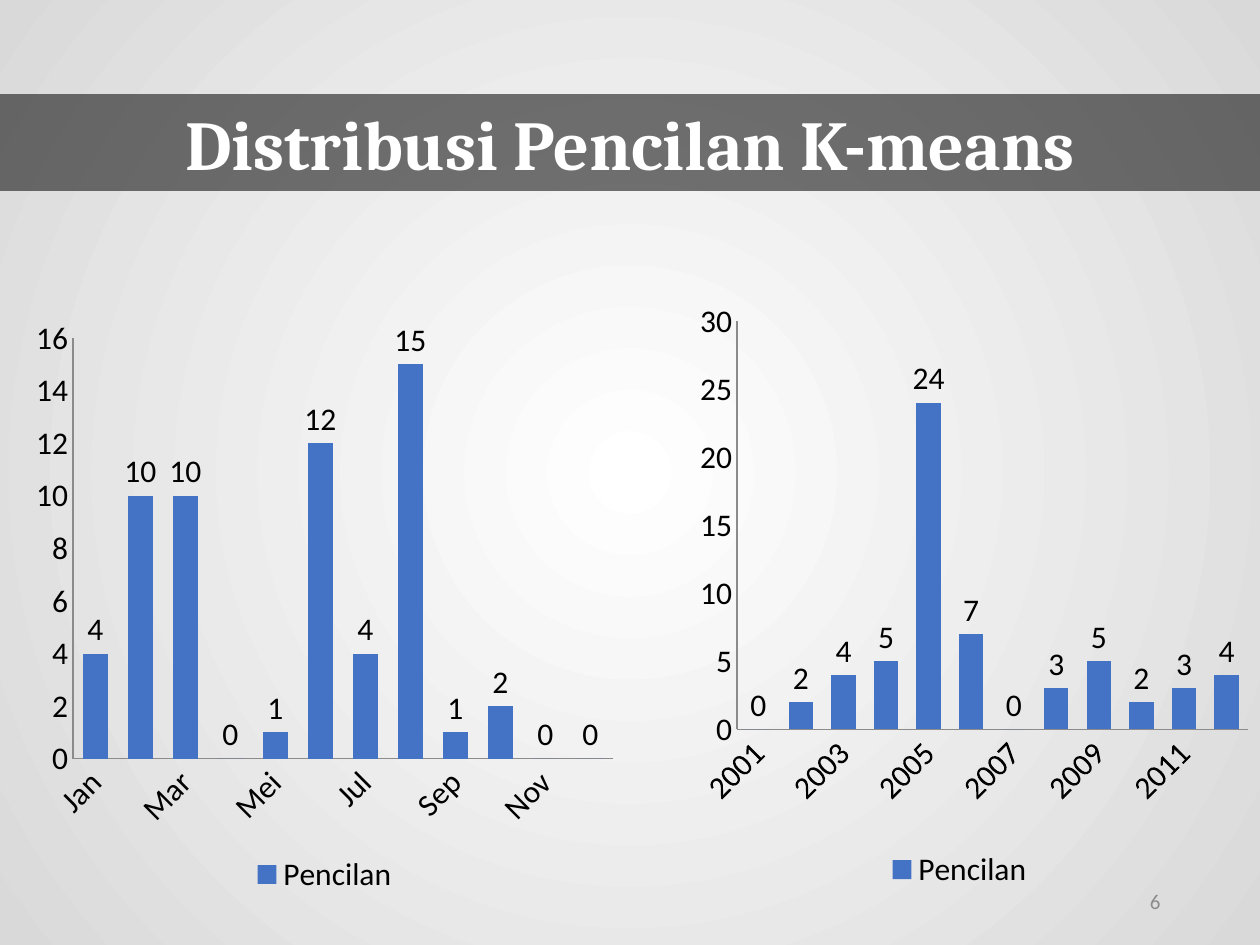
from lxml.etree import SubElement
from pptx import Presentation
from pptx.chart.data import CategoryChartData
from pptx.dml.color import RGBColor
from pptx.enum.chart import XL_CHART_TYPE, XL_LABEL_POSITION, XL_LEGEND_POSITION, XL_TICK_MARK
from pptx.enum.shapes import MSO_SHAPE
from pptx.enum.text import MSO_ANCHOR, MSO_AUTO_SIZE, PP_ALIGN
from pptx.oxml import parse_xml
from pptx.oxml.ns import nsdecls, qn
from pptx.util import Emu, Pt

THEME = {
    "heading_font": "Cambria", "body_font": "Calibri",
    "title_size": 40, "chart_size": 18, "number_size": 12,
    "white": "FFFFFF", "edge": "D9D9D9", "black": "000000",
    "bar": "4472C4", "axis": "8B8B8B", "number": "8C8C8C",
}

TITLE = "Distribusi Pencilan K-means"
TITLE_BAND = (0, 94, 1260, 97)
BAND_OPACITY = 54
PAGE_NUMBER = "6"
PAGE_NUMBER_BOX = (890, 876, 283, 50)

SERIES_NAME = "Pencilan"
CHARTS = [
    {
        "box": (24, 307, 601, 593),
        "categories": ["Jan", "Feb", "Mar", "Apr", "Mei", "Jun",
                       "Jul", "Ags", "Sep", "Okt", "Nov", "Des"],
        "values": [4, 10, 10, 0, 1, 12, 4, 15, 1, 2, 0, 0],
        "scale": {"minimum_scale": 0, "maximum_scale": 16, "major_unit": 2},
        "plot_area": None,
    },
    {
        "box": (659, 302, 601, 593),
        "categories": [str(year) for year in range(2001, 2013)],
        "values": [0, 2, 4, 5, 24, 7, 0, 3, 5, 2, 3, 4],
        "scale": {"minimum_scale": 0, "maximum_scale": 30, "major_unit": 5},
        "plot_area": {"x": 0.13, "y": 0.03, "w": 0.85, "h": 0.69},
    },
]


def px(length):
    return Emu(round(length * 914400 / 126))


def place(box):
    return [px(length) for length in box]


def color(name):
    return RGBColor.from_string(THEME[name])


def set_all(target, values):
    for name, value in values.items():
        setattr(target, name, value)


def style_font(font, face, size, ink, bold=False):
    set_all(font, {"name": THEME[face], "size": Pt(THEME[size]), "bold": bold})
    font.color.rgb = color(ink)


def paint_background(slide):
    """Radial gradient, white in the centre."""
    slide.background.fill.gradient()
    linear = slide.element.xpath(".//p:bgPr/a:gradFill")[0]
    stops = "".join(
        f'<a:gs pos="{position}"><a:srgbClr val="{THEME[name]}"/></a:gs>'
        for position, name in ((0, "white"), (100000, "edge")))
    radial = parse_xml(
        f'<a:gradFill {nsdecls("a")} rotWithShape="1"><a:gsLst>{stops}</a:gsLst>'
        '<a:path path="circle"><a:fillToRect l="50000" t="50000" r="50000" b="50000"/>'
        '</a:path></a:gradFill>')
    linear.getparent().replace(linear, radial)


def write(shape, text, align, **font_style):
    paragraph = shape.text_frame.paragraphs[0]
    paragraph.alignment = align
    run = paragraph.add_run()
    run.text = text
    style_font(run.font, **font_style)


def add_page_number(slide):
    number = slide.shapes.add_textbox(*place(PAGE_NUMBER_BOX))
    set_all(number.text_frame, {"word_wrap": True, "vertical_anchor": MSO_ANCHOR.MIDDLE})
    write(number, PAGE_NUMBER, PP_ALIGN.RIGHT,
          face="body_font", size="number_size", ink="number")


def add_title_band(slide):
    band = slide.shapes.add_shape(MSO_SHAPE.RECTANGLE, *place(TITLE_BAND))
    band.shadow.inherit = False
    band.fill.solid()
    band.fill.fore_color.rgb = color("black")
    fill_color = band.element.spPr.find(qn("a:solidFill"))[0]
    SubElement(fill_color, qn("a:alpha"), val=str(BAND_OPACITY * 1000))
    band.line.fill.background()
    set_all(band.text_frame, {"word_wrap": True, "auto_size": MSO_AUTO_SIZE.SHAPE_TO_FIT_TEXT,
                              "vertical_anchor": MSO_ANCHOR.TOP})
    write(band, TITLE, PP_ALIGN.CENTER,
          face="heading_font", size="title_size", ink="white", bold=True)


def fix_plot_area(chart, fractions):
    """Pin the inner plot area to fractions of the chart."""
    plot_area = chart.element.xpath(".//c:plotArea")[0]
    for automatic in plot_area.findall(qn("c:layout")):
        plot_area.remove(automatic)
    places = "".join(f'<c:{side} val="{value}"/>' for side, value in fractions.items())
    plot_area.insert(0, parse_xml(
        f'<c:layout {nsdecls("c")}><c:manualLayout><c:layoutTarget val="inner"/>'
        f'<c:xMode val="edge"/><c:yMode val="edge"/>{places}</c:manualLayout></c:layout>'))


def add_outlier_chart(slide, content):
    data = CategoryChartData()
    data.categories = content["categories"]
    data.add_series(SERIES_NAME, content["values"])
    chart = slide.shapes.add_chart(
        XL_CHART_TYPE.COLUMN_CLUSTERED, *place(content["box"]), data).chart
    set_all(chart, {"has_title": False, "has_legend": True})
    style_font(chart.font, "body_font", "chart_size", "black")
    set_all(chart.legend, {"position": XL_LEGEND_POSITION.BOTTOM, "include_in_layout": False})

    for axis in (chart.category_axis, chart.value_axis):
        set_all(axis, {"major_tick_mark": XL_TICK_MARK.NONE,
                       "minor_tick_mark": XL_TICK_MARK.NONE,
                       "has_major_gridlines": False})
        axis.format.line.color.rgb = color("axis")
        axis.format.line.width = Pt(0.75)
    set_all(chart.value_axis, content["scale"])

    plot = chart.plots[0]
    set_all(plot, {"gap_width": 75, "vary_by_categories": False, "has_data_labels": True})
    set_all(plot.data_labels, {"show_value": True, "position": XL_LABEL_POSITION.OUTSIDE_END})
    bars = plot.series[0].format.fill
    bars.solid()
    bars.fore_color.rgb = color("bar")
    if content["plot_area"]:
        fix_plot_area(chart, content["plot_area"])


def main():
    deck = Presentation()
    set_all(deck, {"slide_width": px(1260), "slide_height": px(945)})
    slide = deck.slides.add_slide(deck.slide_layouts[6])
    paint_background(slide)
    add_page_number(slide)
    for content in CHARTS:
        add_outlier_chart(slide, content)
    add_title_band(slide)
    deck.save("out.pptx")


if __name__ == "__main__":
    main()
